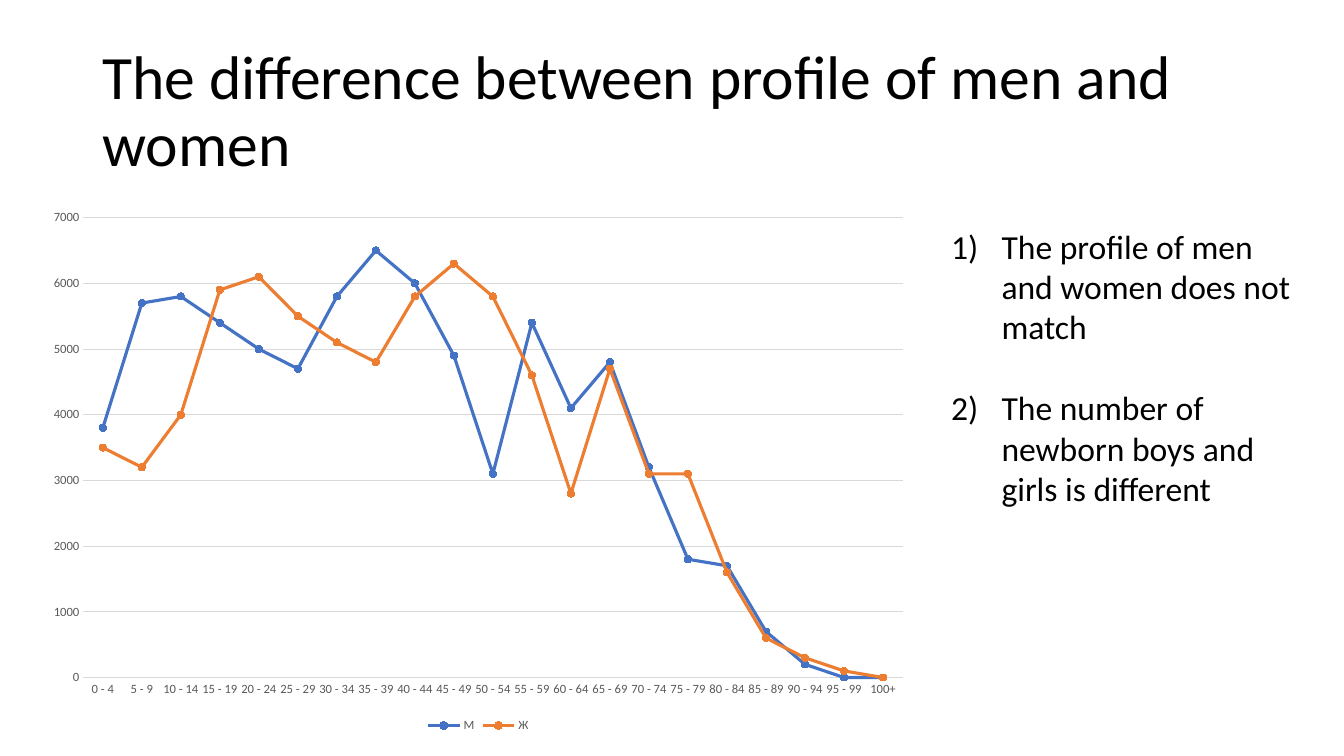
from lxml.etree import SubElement
from pptx import Presentation
from pptx.chart.data import CategoryChartData
from pptx.dml.color import RGBColor
from pptx.enum.chart import XL_CHART_TYPE, XL_LEGEND_POSITION, XL_MARKER_STYLE, XL_TICK_MARK
from pptx.enum.text import MSO_ANCHOR
from pptx.oxml.ns import qn
from pptx.util import Cm, Pt

TITLE = "The difference between profile of men and women"
FINDINGS = [
    "The profile of men and women does not match",
    "The number of newborn boys and girls is different",
]
AGES = [f"{age} - {age + 4}" for age in range(0, 100, 5)] + ["100+"]
PROFILES = {
    "М": [3800, 5700, 5800, 5400, 5000, 4700, 5800, 6500, 6000, 4900, 3100,
          5400, 4100, 4800, 3200, 1800, 1700, 700, 200, 0, 0],
    "Ж": [3500, 3200, 4000, 5900, 6100, 5500, 5100, 4800, 5800, 6300, 5800,
          4600, 2800, 4700, 3100, 3100, 1600, 600, 300, 100, 0],
}
COLORS = {"text": "000000", "label": "595959", "grid": "D9D9D9",
          "М": "4472C4", "Ж": "ED7D31"}
FONT = "Calibri"


def rgb(name):
    return RGBColor.from_string(COLORS[name])


def style_font(font, size, color):
    font.name = FONT
    font.size = Pt(size)
    font.color.rgb = rgb(color)


def style_line(line, color, width):
    line.color.rgb = rgb(color)
    line.width = Pt(width)


def add_text(slide, box, lines, size):
    tf = slide.shapes.add_textbox(*map(Cm, box)).text_frame
    tf.word_wrap = True
    tf.text = "\n".join(lines)
    for p in tf.paragraphs:
        style_font(p.runs[0].font, size, "text")
    return tf


def number_paragraph(p, indent):
    """Give the paragraph a hanging indent and a "1)" style number."""
    pPr = p._p.get_or_add_pPr()
    pPr.set("marL", str(indent))
    pPr.set("indent", str(-indent))
    SubElement(pPr, qn("a:buFont"), typeface="+mj-lt")
    SubElement(pPr, qn("a:buAutoNum"), type="arabicParenR")


def add_profile_chart(slide, box):
    data = CategoryChartData()
    data.categories = AGES
    for name, values in PROFILES.items():
        data.add_series(name, values)
    chart = slide.shapes.add_chart(
        XL_CHART_TYPE.LINE_MARKERS, *map(Cm, box), data).chart
    chart.has_title = False
    style_font(chart.font, 10, "text")

    chart.has_legend = True
    chart.legend.position = XL_LEGEND_POSITION.BOTTOM
    chart.legend.include_in_layout = False
    style_font(chart.legend.font, 9, "label")

    ages, people = chart.category_axis, chart.value_axis
    for axis in (ages, people):
        axis.major_tick_mark = axis.minor_tick_mark = XL_TICK_MARK.NONE
        style_font(axis.tick_labels.font, 9, "label")
    style_line(ages.format.line, "grid", 0.75)
    people.format.line.fill.background()
    people.minimum_scale, people.maximum_scale, people.major_unit = 0, 7000, 1000
    style_line(people.major_gridlines.format.line, "grid", 0.75)

    plot = chart.plots[0]
    plot.vary_by_categories = False
    for series in plot.series:
        series.smooth = False
        style_line(series.format.line, series.name, 2.25)
        marker = series.marker
        marker.style = XL_MARKER_STYLE.CIRCLE
        marker.size = 5
        marker.format.fill.solid()
        marker.format.fill.fore_color.rgb = rgb(series.name)
        style_line(marker.format.line, series.name, 0.75)


def main():
    prs = Presentation()
    prs.slide_width, prs.slide_height = Cm(33.87), Cm(19.05)
    slide = prs.slides.add_slide(prs.slide_layouts[6])

    title = add_text(slide, (2.33, 1.01, 29.21, 3.68), [TITLE], 44)
    title.vertical_anchor = MSO_ANCHOR.MIDDLE
    title.paragraphs[0].line_spacing = 0.9

    add_profile_chart(slide, (0.91, 5.03, 22.28, 13.54))

    findings = add_text(slide, (23.72, 5.56, 9.55, 7.44), FINDINGS, 24)
    for p in findings.paragraphs:
        number_paragraph(p, Cm(1.27))
    for p in findings.paragraphs[1:]:
        p.space_before = Pt(29)

    prs.save("out.pptx")


if __name__ == "__main__":
    main()
